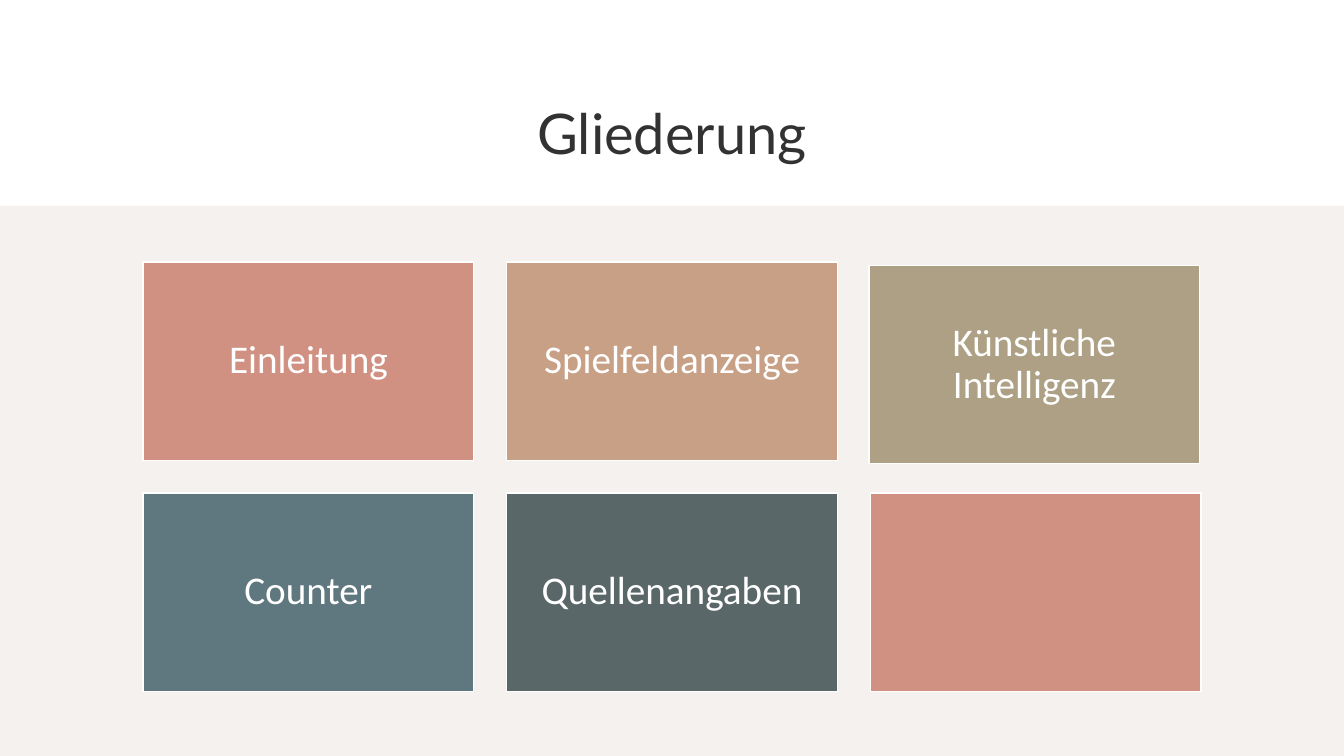
"""Builds the agenda slide: a title above a grid of coloured topic tiles."""
import pptx
import pptx.dml.color
import pptx.enum.shapes
import pptx.enum.text
import pptx.util

Pt = pptx.util.Pt
RGBColor = pptx.dml.color.RGBColor
ALIGN = pptx.enum.text.PP_ALIGN
ANCHOR = pptx.enum.text.MSO_ANCHOR
RECTANGLE = pptx.enum.shapes.MSO_SHAPE.RECTANGLE

WHITE = RGBColor(0xFF, 0xFF, 0xFF)
INK = RGBColor(0x32, 0x32, 0x32)
SAND = RGBColor(0xF4, 0xF1, 0xEF)
ROSE = RGBColor(0xD0, 0x91, 0x82)
TAN = RGBColor(0xC7, 0xA0, 0x85)
OLIVE = RGBColor(0xAD, 0xA0, 0x85)
TEAL = RGBColor(0x5F, 0x78, 0x7F)
SLATE = RGBColor(0x5A, 0x67, 0x68)

SLIDE_WIDTH, SLIDE_HEIGHT = 960, 540
BAND_TOP = 147
COLUMNS = 3
GRID_LEFT, GRID_TOP = 102.2, 187.2
TILE_WIDTH, TILE_HEIGHT = 236.2, 141.7
COLUMN_PITCH, ROW_PITCH = 259.7, 165
TILE_INSET = 8.4

TOPICS = [
    ("Einleitung", ROSE, (0, 0)),
    ("Spielfeldanzeige", TAN, (0, 0)),
    ("Künstliche Intelligenz", OLIVE, (-0.9, 2.3)),
    ("Counter", TEAL, (0, 0)),
    ("Quellenangaben", SLATE, (0, 0)),
    ("", ROSE, (0, 0)),
]


def write(frame, text, font_name, size, color):
    """Put one centred paragraph in a text frame."""
    frame.word_wrap = True
    frame.vertical_anchor = ANCHOR.MIDDLE
    paragraph = frame.paragraphs[0]
    paragraph.text = text
    paragraph.alignment = ALIGN.CENTER
    paragraph.font.name = font_name
    paragraph.font.size = Pt(size)
    paragraph.font.color.rgb = color
    return paragraph


def add_title(slide, text):
    """Add the slide title."""
    title = slide.shapes.add_textbox(Pt(112), Pt(55.4), Pt(736), Pt(78.5))
    write(title.text_frame, text, "Lato", 40, INK)


def add_block(slide, left, top, width, height, color):
    """Add a plain filled rectangle without a line."""
    block = slide.shapes.add_shape(RECTANGLE, Pt(left), Pt(top), Pt(width), Pt(height))
    block.shadow.inherit = False
    block.fill.solid()
    block.fill.fore_color.rgb = color
    block.line.fill.background()
    return block


def add_tile(slide, index, topic, color, nudge):
    """Add a topic tile at its place in the grid."""
    row, column = divmod(index, COLUMNS)
    left = GRID_LEFT + column * COLUMN_PITCH + nudge[0]
    top = GRID_TOP + row * ROW_PITCH + nudge[1]
    tile = add_block(slide, left, top, TILE_WIDTH, TILE_HEIGHT, color)
    tile.line.color.rgb = WHITE
    tile.line.width = Pt(1)
    if topic:
        frame = tile.text_frame
        frame.margin_left = frame.margin_right = Pt(TILE_INSET)
        frame.margin_top = frame.margin_bottom = Pt(TILE_INSET)
        write(frame, topic, "Calibri", 28, WHITE).line_spacing = 0.9


def main():
    """Build and save the slide."""
    presentation = pptx.Presentation()
    presentation.slide_width = Pt(SLIDE_WIDTH)
    presentation.slide_height = Pt(SLIDE_HEIGHT)
    slide = presentation.slides.add_slide(presentation.slide_layouts[6])
    add_title(slide, "Gliederung")
    add_block(slide, 0, BAND_TOP, SLIDE_WIDTH, SLIDE_HEIGHT - BAND_TOP, SAND)
    for index, (topic, color, nudge) in enumerate(TOPICS):
        add_tile(slide, index, topic, color, nudge)
    presentation.save("out.pptx")


if __name__ == "__main__":
    main()
